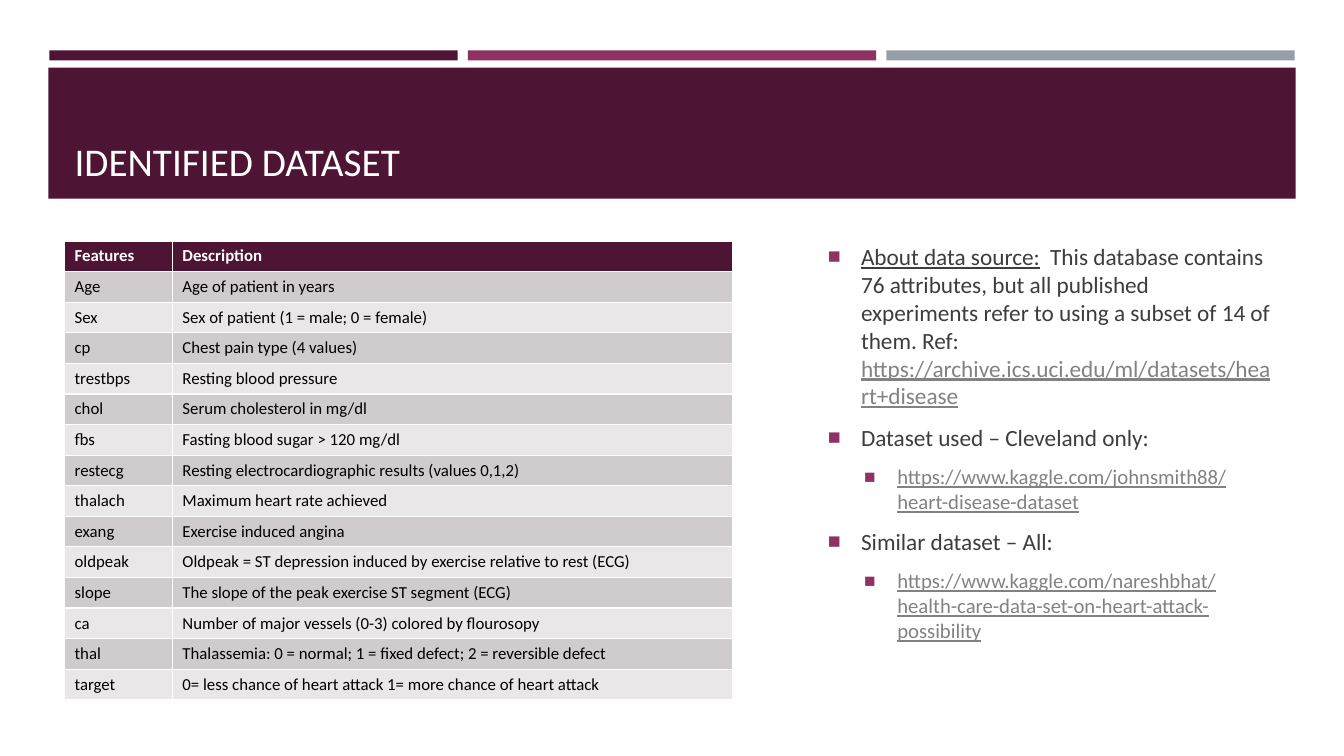
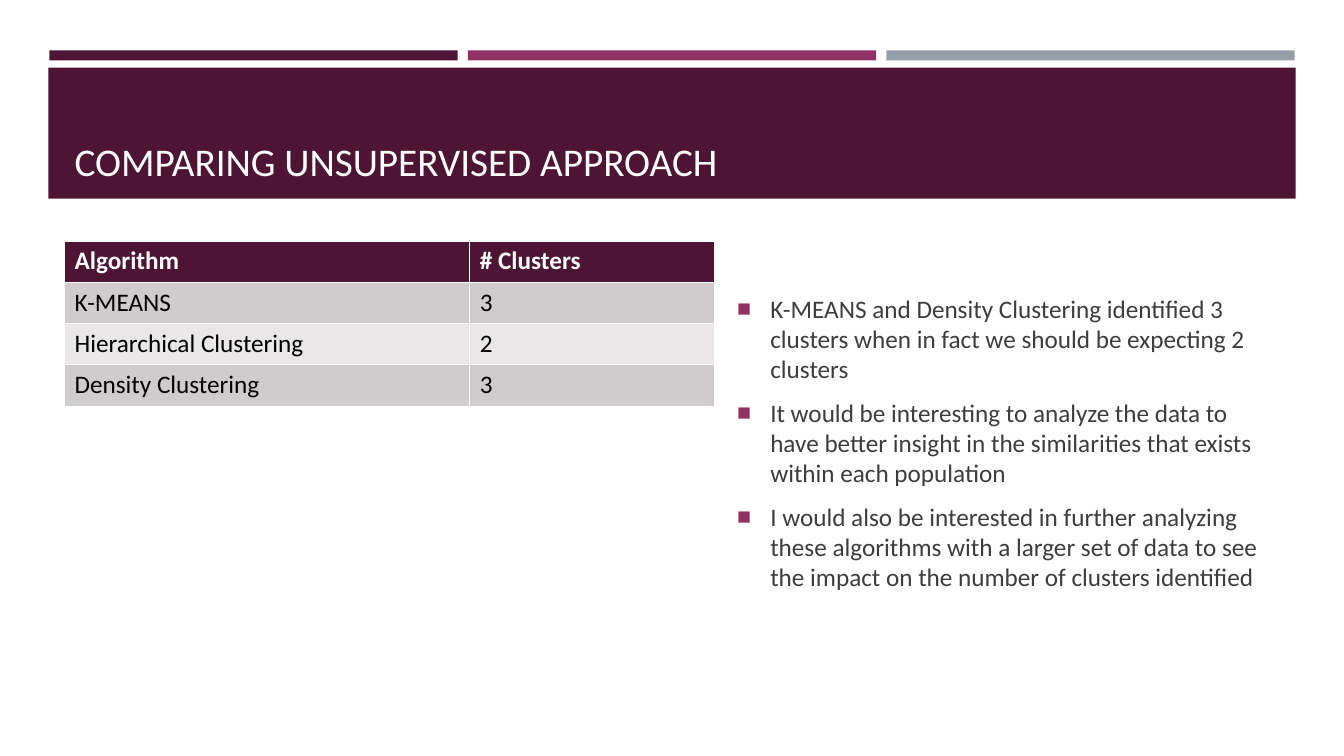
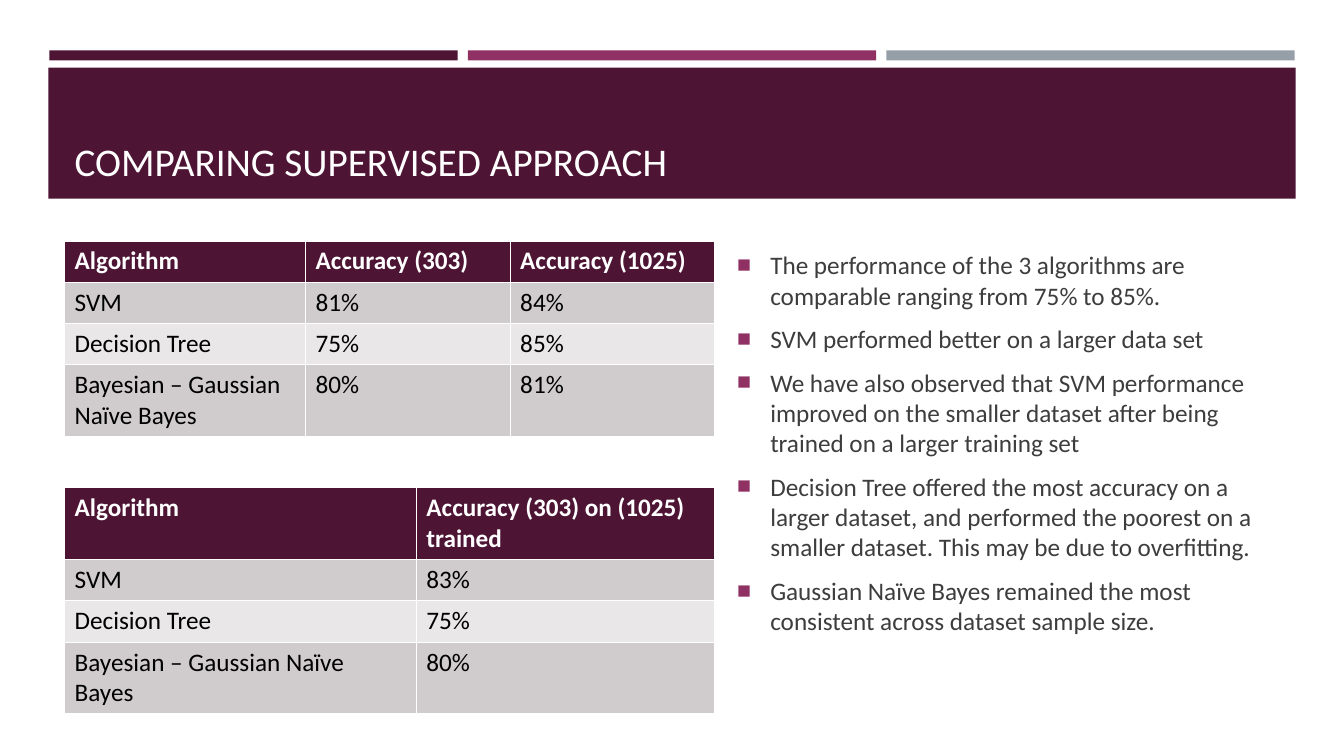
from lxml.etree import SubElement
from pptx import Presentation
from pptx.dml.color import RGBColor
from pptx.enum.shapes import MSO_SHAPE
from pptx.enum.text import MSO_ANCHOR, MSO_AUTO_SIZE, PP_ALIGN
from pptx.oxml.ns import qn
from pptx.util import Inches, Pt

FONT = "Calibri"
COLORS = {
    "plum": "4D1434", "magenta": "903163", "gray": "969FA7", "white": "FFFFFF",
    "black": "000000", "text": "3D3D3D", "link": "828282",
    "odd_row": "D0CCCE", "even_row": "E9E7E8",
}
MARGIN = 0.64
CONTENT_TOP = 2.39

# A body item is (level, [(text, style), ...]); a table row is one tuple of cells.
SLIDES = [
    {
        "title": "IDENTIFIED DATASET",
        "body_left": 8.11,
        "body_sizes": (16.6, 14.8),
        "body": [
            (0, [("About data source:", "underlined"),
                 ("  This database contains 76 attributes, but all published experiments "
                  "refer to using a subset of 14 of them. Ref: ", "plain"),
                 ("https://archive.ics.uci.edu/ml/datasets/heart+disease", "link")]),
            (0, [("Dataset used – Cleveland only:", "plain")]),
            (1, [("https://www.kaggle.com/johnsmith88/heart-disease-dataset", "link")]),
            (0, [("Similar dataset – All:", "plain")]),
            (1, [("https://www.kaggle.com/nareshbhat/"
                  "health-care-data-set-on-heart-attack-possibility", "link")]),
        ],
        "tables": [{
            "top": CONTENT_TOP, "columns": (1.07, 5.56), "row_height": 0.3, "size": 12,
            "rows": [
                ("Features", "Description"),
                ("Age", "Age of patient in years"),
                ("Sex", "Sex of patient (1 = male; 0 = female)"),
                ("cp", "Chest pain type (4 values)"),
                ("trestbps", "Resting blood pressure"),
                ("chol", "Serum cholesterol in mg/dl"),
                ("fbs", "Fasting blood sugar > 120 mg/dl"),
                ("restecg", "Resting electrocardiographic results (values 0,1,2)"),
                ("thalach", "Maximum heart rate achieved"),
                ("exang", "Exercise induced angina"),
                ("oldpeak", "Oldpeak = ST depression induced by exercise relative to rest (ECG)"),
                ("slope", "The slope of the peak exercise ST segment (ECG)"),
                ("ca", "Number of major vessels (0-3) colored by flourosopy"),
                ("thal", "Thalassemia: 0 = normal; 1 = fixed defect; 2 = reversible defect"),
                ("target", "0= less chance of heart attack 1= more chance of heart attack"),
            ],
        }],
    },
    {
        "title": "COMPARING UNSUPERVISED APPROACH",
        "body_left": 7.21,
        "body_sizes": (18,),
        "body": [(0, [(text, "plain")]) for text in (
            "K-MEANS and Density Clustering identified 3 clusters when in fact we should "
            "be expecting 2 clusters",
            "It would be interesting to analyze the data to have better insight in the "
            "similarities that exists within each population",
            "I would also be interested in further analyzing these algorithms with a larger "
            "set of data to see the impact on the number of clusters identified",
        )],
        "tables": [{
            "top": CONTENT_TOP, "columns": (4.02, 2.43), "row_height": 0.41, "size": 18,
            "rows": [
                ("Algorithm", "# Clusters"),
                ("K-MEANS", "3"),
                ("Hierarchical Clustering", "2"),
                ("Density Clustering", "3"),
            ],
        }],
    },
    {
        "title": "COMPARING SUPERVISED APPROACH",
        "body_left": 7.21,
        "body_sizes": (18,),
        "body": [(0, [(text, "plain")]) for text in (
            "The performance of the 3 algorithms are comparable ranging from 75% to 85%.",
            "SVM performed better on a larger data set",
            "We have also observed that SVM performance improved on the smaller dataset "
            "after being trained on a larger training set",
            "Decision Tree offered the most accuracy on a larger dataset, and performed the "
            "poorest on a smaller dataset. This may be due to overfitting.",
            "Gaussian Naïve Bayes remained the most consistent across dataset sample size.",
        )],
        "tables": [
            {
                "top": CONTENT_TOP, "columns": (2.39, 2.03, 2.03), "row_height": 0.41, "size": 18,
                "rows": [
                    ("Algorithm", "Accuracy (303)", "Accuracy (1025)"),
                    ("SVM", "81%", "84%"),
                    ("Decision Tree", "75%", "85%"),
                    ("Bayesian – Gaussian Naïve Bayes", "80%", "81%"),
                ],
            },
            {
                "top": 4.84, "columns": (3.49, 2.96), "row_height": 0.41, "size": 18,
                "rows": [
                    ("Algorithm", "Accuracy (303) on (1025) trained"),
                    ("SVM", "83%"),
                    ("Decision Tree", "75%"),
                    ("Bayesian – Gaussian Naïve Bayes", "80%"),
                ],
            },
        ],
    },
]


def rgb(name):
    return RGBColor.from_string(COLORS[name])


def set_font(font, size, color, bold=False):
    font.name = FONT
    font.size = Pt(size)
    font.bold = bold
    font.color.rgb = rgb(color)


def place(shape, left, top, width, height):
    shape.left, shape.top = Inches(left), Inches(top)
    shape.width, shape.height = Inches(width), Inches(height)


def add_bands_to_master(master, slide):
    """Draw the bands on a slide, then move them behind the master's placeholders."""
    bands = [(0.49 + i * 4.15, 0.5, 4.05, 0.1, color)
             for i, color in enumerate(("plum", "magenta", "gray"))]
    bands.append((0.48, 0.67, 12.37, 1.3, "plum"))
    for position, (*box, color) in enumerate(bands, start=2):
        band = slide.shapes.add_shape(MSO_SHAPE.RECTANGLE, *map(Inches, box))
        band.shadow.inherit = False
        band.fill.solid()
        band.fill.fore_color.rgb = rgb(color)
        band.line.fill.background()
        master.element.cSld.spTree.insert(position, band.element)


def fill_title(title, text):
    place(title, MARGIN, 0.77, 12.06, 1.11)
    frame = title.text_frame
    frame.text = text
    frame.auto_size = MSO_AUTO_SIZE.NONE
    frame.vertical_anchor = MSO_ANCHOR.BOTTOM
    paragraph = frame.paragraphs[0]
    paragraph.alignment = PP_ALIGN.LEFT
    set_font(paragraph.font, 28, "white")


def add_bullet(paragraph, level):
    properties = paragraph._p.get_or_add_pPr()
    properties.set("marL", str(Inches(0.33 + 0.36 * level)))
    properties.set("indent", str(Inches(-0.33)))
    bullet_color = SubElement(properties, qn("a:buClr"))
    SubElement(bullet_color, qn("a:srgbClr"), val=COLORS["magenta"])
    SubElement(properties, qn("a:buSzPct"), val="92000")
    SubElement(properties, qn("a:buChar"), char="■")


def fill_body(body, left, items, sizes):
    place(body, left, 2.38, 12.7 - left, 4.02)
    frame = body.text_frame
    frame.auto_size = MSO_AUTO_SIZE.NONE
    frame.vertical_anchor = MSO_ANCHOR.MIDDLE
    for i, (level, runs) in enumerate(items):
        paragraph = frame.add_paragraph() if i else frame.paragraphs[0]
        add_bullet(paragraph, level)
        paragraph.level = level
        paragraph.space_before = Pt(3.5 if i else 0)
        paragraph.space_after = Pt(6)
        set_font(paragraph.font, sizes[level], "text")
        for text, style in runs:
            run = paragraph.add_run()
            run.text = text
            set_font(run.font, sizes[level], "link" if style == "link" else "text")
            run.font.underline = style != "plain"


def add_feature_table(slide, top, columns, row_height, size, rows):
    table = slide.shapes.add_table(
        len(rows), len(columns), Inches(MARGIN), Inches(top),
        Inches(sum(columns)), Inches(row_height * len(rows))).table
    for column, width in zip(table.columns, columns):
        column.width = Inches(width)
    for r, row in enumerate(rows):
        table.rows[r].height = Inches(row_height)
        header = r == 0
        fill = "plum" if header else "odd_row" if r % 2 else "even_row"
        for c, text in enumerate(row):
            cell = table.cell(r, c)
            cell.text = text
            cell.fill.solid()
            cell.fill.fore_color.rgb = rgb(fill)
            set_font(cell.text_frame.paragraphs[0].font, size,
                     "white" if header else "black", bold=header)


def main():
    presentation = Presentation()
    presentation.slide_width, presentation.slide_height = Inches(13.33), Inches(7.5)
    layout = presentation.slide_layouts[1]
    for i, content in enumerate(SLIDES):
        slide = presentation.slides.add_slide(layout)
        if i == 0:
            add_bands_to_master(presentation.slide_master, slide)
        fill_title(slide.shapes.title, content["title"])
        fill_body(slide.placeholders[1], content["body_left"], content["body"],
                  content["body_sizes"])
        for table in content["tables"]:
            add_feature_table(slide, **table)
    presentation.save("out.pptx")


if __name__ == "__main__":
    main()
